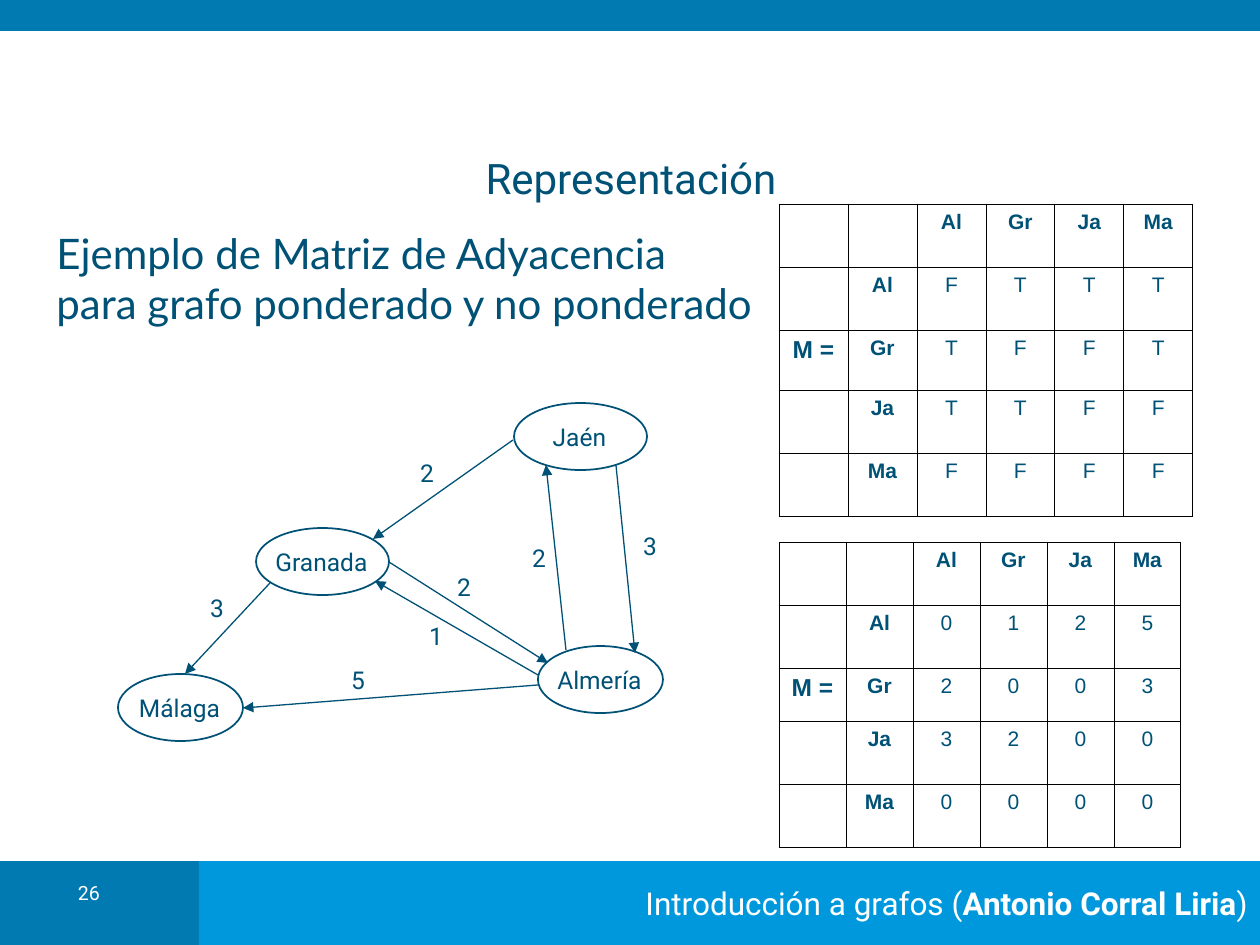
from lxml import etree
from pptx import Presentation
from pptx.dml.color import RGBColor
from pptx.enum.shapes import MSO_CONNECTOR, MSO_SHAPE
from pptx.enum.text import MSO_ANCHOR, PP_ALIGN
from pptx.oxml.ns import qn
from pptx.util import Emu, Pt

RECTANGLE, ELLIPSE = MSO_SHAPE.RECTANGLE, MSO_SHAPE.OVAL
STRAIGHT = MSO_CONNECTOR.STRAIGHT
LEFT, CENTER, RIGHT = PP_ALIGN.LEFT, PP_ALIGN.CENTER, PP_ALIGN.RIGHT
TOP, MIDDLE = MSO_ANCHOR.TOP, MSO_ANCHOR.MIDDLE

NAVY = RGBColor(0x00, 0x51, 0x76)
BLUE = RGBColor(0x00, 0x7A, 0xB1)
SKY = RGBColor(0x00, 0x98, 0xDC)
WHITE = RGBColor(0xFF, 0xFF, 0xFF)
BLACK = RGBColor(0x00, 0x00, 0x00)

PX_PER_INCH = 126
WIDTH, HEIGHT = 1260, 945
TITLE_ONLY = 5

CITIES = ["Al", "Gr", "Ja", "Ma"]
UNWEIGHTED = ["FTTT", "TFFT", "TTFF", "FFFF"]
WEIGHTED = ["0125", "2003", "3200", "0000"]

# Node name: left, top, width
NODES = {
    "Almería": (538, 646, 125),
    "Jaén": (514, 403, 133),
    "Granada": (256, 528, 133),
    "Málaga": (118, 674, 125),
}
NODE_HEIGHT = 67

# Start, arrow tip, weight, left and top of the weight
EDGES = [
    ((566, 650), (546, 465), "2", (519, 537)),
    ((616, 465), (635, 653), "3", (630, 525)),
    ((389, 562), (548, 663), "2", (444, 566)),
    ((538, 675), (375, 581), "1", (416, 615)),
    ((538, 685), (243, 708), "5", (338, 659)),
    ((513, 440), (373, 539), "2", (407, 452)),
    ((270, 583), (185, 674), "3", (197, 587)),
]


def px(length):
    return Emu(round(length * 914400 / PX_PER_INCH))


class SlideBuilder:
    """Holds the deck's style and the current slide."""

    font = "Roboto"
    label_size = 14

    def __init__(self, slide):
        self.slide = slide

    def style(self, paragraph, size, color=NAVY, align=CENTER, font=None, bold=False):
        paragraph.alignment = align
        for run in paragraph.runs:
            run.font.name = font or self.font
            run.font.size = Pt(size)
            run.font.color.rgb = color
            run.font.bold = bold

    def title(self, text, box, size):
        shape = self.slide.shapes.title
        shape.left, shape.top, shape.width, shape.height = map(px, box)
        frame = shape.text_frame
        frame.text = text
        frame.vertical_anchor = MIDDLE
        frame.margin_left = frame.margin_right = 0
        frame.margin_top = frame.margin_bottom = 0
        self.style(frame.paragraphs[0], size)

    def text(self, text, box, size, **style):
        shape = self.slide.shapes.add_textbox(*map(px, box))
        frame = shape.text_frame
        frame.text = text
        frame.word_wrap = True
        frame.vertical_anchor = TOP
        self.style(frame.paragraphs[0], size, **style)
        return frame.paragraphs[0]

    def bar(self, box, color):
        shape = self.slide.shapes.add_shape(RECTANGLE, *map(px, box))
        shape.shadow.inherit = False
        shape.fill.solid()
        shape.fill.fore_color.rgb = color
        shape.line.fill.background()
        return shape

    def footer(self, pieces, box, color, size):
        frame = self.bar(box, color).text_frame
        frame.word_wrap = True
        frame.vertical_anchor = MIDDLE
        paragraph = frame.paragraphs[0]
        for text, _ in pieces:
            paragraph.add_run().text = text
        self.style(paragraph, size, WHITE, RIGHT)
        for run, (_, bold) in zip(paragraph.runs, pieces):
            run.font.bold = bold

    def node(self, name, left, top, width):
        shape = self.slide.shapes.add_shape(ELLIPSE, *map(px, (left, top, width, NODE_HEIGHT)))
        shape.shadow.inherit = False
        shape.fill.background()
        shape.line.color.rgb = NAVY
        shape.line.width = Pt(1)
        self.text(name, (left + 5, top + 13, width - 12, 43), self.label_size)

    def edge(self, start, tip, weight, corner):
        connector = self.slide.shapes.add_connector(STRAIGHT, *map(px, start + tip))
        connector.line.color.rgb = NAVY
        connector.line.width = Pt(0.75)
        line = connector.line._get_or_add_ln()
        etree.SubElement(line, qn("a:tailEnd"), type="triangle")
        etree.SubElement(connector._element.spPr, qn("a:effectLst"))
        self.text(weight, corner + (40, 43), self.label_size)

    def cell_borders(self, cell, points):
        properties = cell._tc.get_or_add_tcPr()
        for position, side in enumerate(("lnL", "lnR", "lnT", "lnB")):
            line = etree.Element(qn(f"a:{side}"), w=str(Pt(points)))
            fill = etree.SubElement(line, qn("a:solidFill"))
            etree.SubElement(fill, qn("a:srgbClr"), val=str(BLACK))
            properties.insert(position, line)

    def matrix(self, values, left, top, column_width, row_heights):
        rows = [["", "", *CITIES]]
        rows += [["", city, *row] for city, row in zip(CITIES, values)]
        rows[2][0] = "M ="
        columns = len(rows[0])
        box = (left, top, column_width * columns, sum(row_heights))
        table = self.slide.shapes.add_table(len(rows), columns, *map(px, box)).table
        table.first_row = table.horz_banding = False
        for column in table.columns:
            column.width = px(column_width)
        for r, (row, height) in enumerate(zip(rows, row_heights)):
            table.rows[r].height = px(height)
            for c, text in enumerate(row):
                cell = table.cell(r, c)
                cell.text = text
                cell.fill.background()
                self.cell_borders(cell, 0.45)
                self.style(cell.text_frame.paragraphs[0], 14 if c == 0 else 12,
                           font="Arial", bold=r == 0 or c < 2)


def main():
    presentation = Presentation()
    presentation.slide_width, presentation.slide_height = px(WIDTH), px(HEIGHT)
    layout = presentation.slide_layouts[TITLE_ONLY]
    builder = SlideBuilder(presentation.slides.add_slide(layout))

    # Top bar, footer and slide number
    builder.bar((0, 861, 230, 84), BLUE)
    builder.footer(
        [("Introducción a grafos (", False), ("Antonio Corral Liria", True), (")", False)],
        (199, 861, 1061, 84), SKY, 18)
    builder.bar((0, 0, WIDTH, 31), BLUE)
    number = builder.text("26", (44, 879, 90, 40), 11.2, color=WHITE)
    number.line_spacing = 0.8

    # Title and statement
    builder.title("Representación", (105, 151, 1052, 53), 24)
    builder.text("Ejemplo de Matriz de Adyacencia para grafo ponderado y no ponderado",
                 (44, 221, 725, 152), 24, align=LEFT, font="Lato")

    # Adjacency matrices
    builder.matrix(UNWEIGHTED, 779, 204, 69, [63, 63, 60, 63, 63])
    builder.matrix(WEIGHTED, 779, 542, 67, [63, 63, 53, 63, 63])

    # Graph
    for name, place in NODES.items():
        builder.node(name, *place)
    for edge in EDGES:
        builder.edge(*edge)

    presentation.save("out.pptx")


if __name__ == "__main__":
    main()
